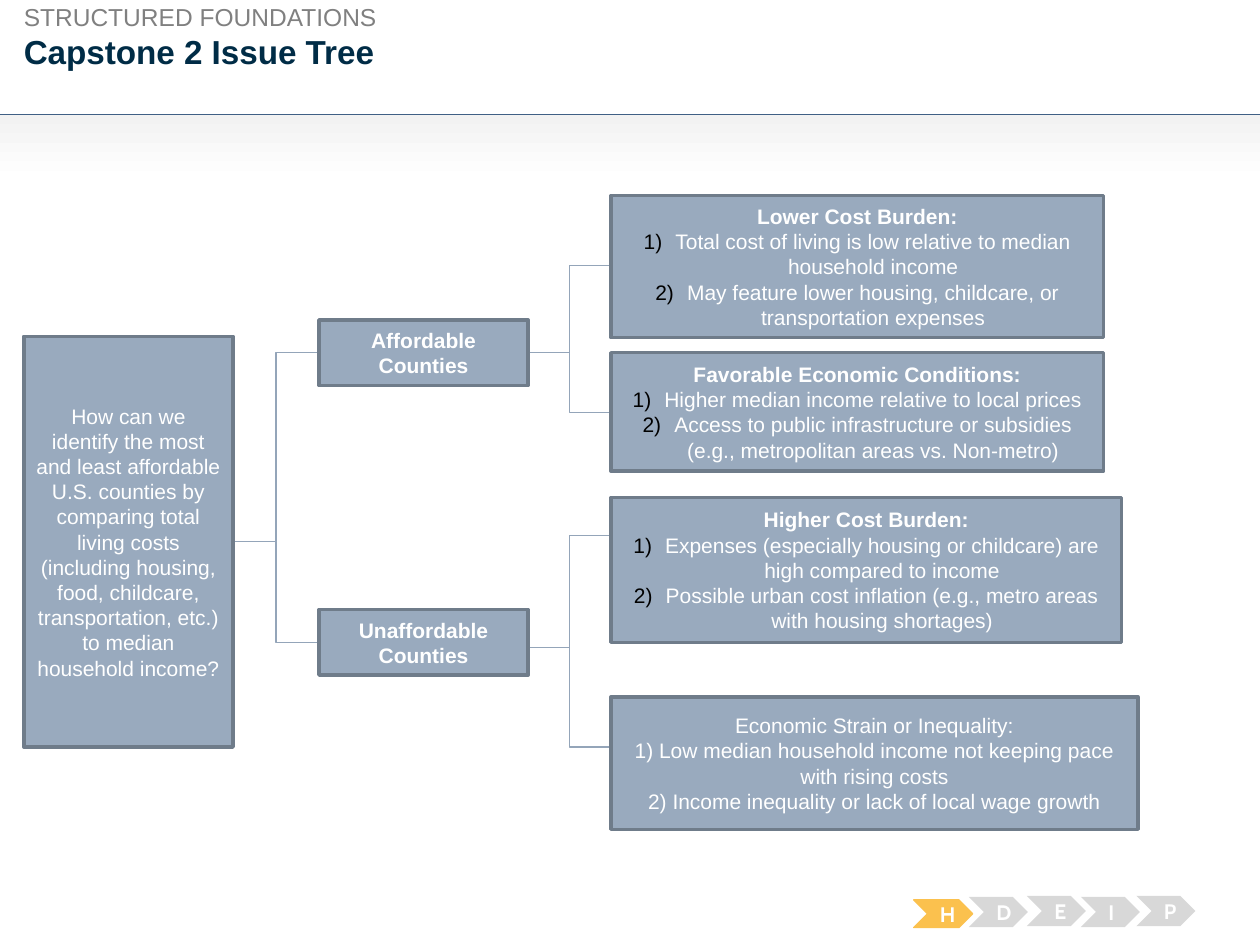
from lxml import etree
from pptx import Presentation
from pptx.dml.color import RGBColor
from pptx.enum.shapes import MSO_CONNECTOR, MSO_SHAPE
from pptx.enum.text import MSO_ANCHOR, PP_ALIGN
from pptx.oxml.ns import qn
from pptx.util import Cm, Pt

RECTANGLE, CHEVRON = MSO_SHAPE.RECTANGLE, MSO_SHAPE.CHEVRON
STRAIGHT, ELBOW = MSO_CONNECTOR.STRAIGHT, MSO_CONNECTOR.ELBOW
CENTER, MIDDLE = PP_ALIGN.CENTER, MSO_ANCHOR.MIDDLE

WHITE = RGBColor(0xFF, 0xFF, 0xFF)
NAVY = RGBColor(0x00, 0x2C, 0x46)
GRAY = RGBColor(0x80, 0x80, 0x80)
PALE = RGBColor(0xF2, 0xF2, 0xF2)
RULE = RGBColor(0x40, 0x60, 0x85)
BOX_FILL = RGBColor(0x99, 0xAA, 0xBE)
BOX_EDGE = RGBColor(0x6F, 0x7C, 0x8A)
BRANCH = RGBColor(0x94, 0xA5, 0xB9)
GOLD = RGBColor(0xFB, 0xC1, 0x4E)
SILVER = RGBColor(0xD8, 0xD8, 0xD8)


def add_box(kind, left, top, width, height, fill, edge, edge_width, lines,
            font="Arial", bold_first=False):
    box = slide.shapes.add_shape(kind, Cm(left), Cm(top), Cm(width), Cm(height))
    box.shadow.inherit = False
    box.fill.solid()
    box.fill.fore_color.rgb = fill
    if edge is None:
        box.line.fill.background()
    else:
        box.line.color.rgb = edge
        box.line.width = Pt(edge_width)
    frame = box.text_frame
    frame.word_wrap = True
    frame.vertical_anchor = MIDDLE
    frame.text = "\n".join(lines)
    for index, paragraph in enumerate(frame.paragraphs):
        paragraph.alignment = CENTER
        paragraph.font.size = Pt(12)
        for run in paragraph.runs:
            run.font.name = font
            run.font.size = Pt(12)
            run.font.bold = bold_first and index == 0
            run.font.color.rgb = WHITE
    return box


def add_line(kind, start, end, color):
    line = slide.shapes.add_connector(
        kind, Cm(start[0]), Cm(start[1]), Cm(end[0]), Cm(end[1]))
    line.line.color.rgb = color
    line.line.width = Pt(0.75)
    etree.SubElement(line._element.spPr, qn("a:effectLst"))


prs = Presentation()
prs.slide_width, prs.slide_height = Cm(25.4), Cm(19.05)
slide = prs.slides.add_slide(prs.slide_layouts[6])

# Header band and rule
band = slide.shapes.add_shape(RECTANGLE, 0, Cm(2.31), Cm(25.4), Cm(1.32))
band.shadow.inherit = False
band.line.fill.background()
band.fill.gradient()
band.fill.gradient_angle = 270
for stop, color, position in zip(band.fill.gradient_stops, (PALE, WHITE), (0, 1)):
    stop.color.rgb = color
    stop.position = position
add_line(STRAIGHT, (0, 2.31), (25.4, 2.31), RULE)

# Section name and title
for heading, top, width, height, size, color, bold in (
        ("STRUCTURED FOUNDATIONS", 0.05, 7.21, 0.61, 14, GRAY, False),
        ("Capstone 2 Issue Tree", 0.64, 23.95, 0.84, 19, NAVY, True)):
    box = slide.shapes.add_textbox(Cm(0.48), Cm(top), Cm(width), Cm(height))
    frame = box.text_frame
    frame.word_wrap = True
    frame.margin_left = frame.margin_right = 0
    frame.margin_top = frame.margin_bottom = 0
    frame.text = heading
    font = frame.paragraphs[0].runs[0].font
    font.name, font.size, font.bold = "Arial", Pt(size), bold
    font.color.rgb = color

# Stage tracker
for letter, left, top, height, fill, edge in (
        ("H", 18.42, 18.14, 0.56, GOLD, GOLD),
        ("D", 19.53, 18.08, 0.61, SILVER, None),
        ("E", 20.7, 18.06, 0.61, SILVER, None),
        ("I", 21.79, 18.08, 0.61, SILVER, None),
        ("P", 22.91, 18.06, 0.61, SILVER, None)):
    add_box(CHEVRON, left, top, 1.19, height, fill, edge, 0.75, [letter],
            font="Cabin", bold_first=True)

# Branches: start point and the heights they lead to
for start, end_x, end_heights in (
        ((4.7, 10.92), 6.43, (7.11, 12.95)),
        ((10.64, 7.11), 12.32, (5.36, 8.31)),
        ((10.64, 13.06), 12.32, (10.8, 15.06))):
    for end_y in end_heights:
        add_line(ELBOW, start, (end_x, end_y), BRANCH)

# Key question and the two county groups
add_box(RECTANGLE, 0.48, 6.78, 4.22, 8.28, BOX_FILL, BOX_EDGE, 2, [
    "How can we identify the most and least affordable U.S. counties by "
    "comparing total living costs (including housing, food, childcare, "
    "transportation, etc.) to median household income?"])
for group, top in (("Affordable Counties", 6.45), ("Unaffordable Counties", 12.29)):
    add_box(RECTANGLE, 6.43, top, 4.22, 1.32, BOX_FILL, BOX_EDGE, 2, [group],
            bold_first=True)

# Drivers with numbered points
for top, width, height, lines in (
        (3.94, 9.93, 2.87, [
            "Lower Cost Burden:",
            "Total cost of living is low relative to median household income",
            "May feature lower housing, childcare, or transportation expenses"]),
        (7.11, 9.93, 2.39, [
            "Favorable Economic Conditions:",
            "Higher median income relative to local prices",
            "Access to public infrastructure or subsidies "
            "(e.g., metropolitan areas vs. Non-metro)"]),
        (10.03, 10.29, 2.92, [
            "Higher Cost Burden:",
            "Expenses (especially housing or childcare) are high compared to income",
            "Possible urban cost inflation (e.g., metro areas with housing shortages)"])):
    driver = add_box(RECTANGLE, 12.32, top, width, height, BOX_FILL, BOX_EDGE, 2,
                     lines, bold_first=True)
    for point in driver.text_frame.paragraphs[1:]:
        props = point._p.get_or_add_pPr()
        props.set("marL", str(Cm(0.64)))
        props.set("indent", str(-Cm(0.64)))
        number_color = etree.Element(qn("a:buClr"))
        etree.SubElement(number_color, qn("a:srgbClr"), val="000000")
        numbering = etree.Element(qn("a:buAutoNum"), type="arabicParenR")
        props.insert(0, number_color)
        props.insert(1, numbering)

# Driver with typed numbers; \v is a line break
add_box(RECTANGLE, 12.32, 14.05, 10.62, 2.67, BOX_FILL, BOX_EDGE, 2, [
    "Economic Strain or Inequality:\v"
    "1) Low median household income not keeping pace with rising costs",
    "2) Income inequality or lack of local wage growth"])

prs.save("out.pptx")
